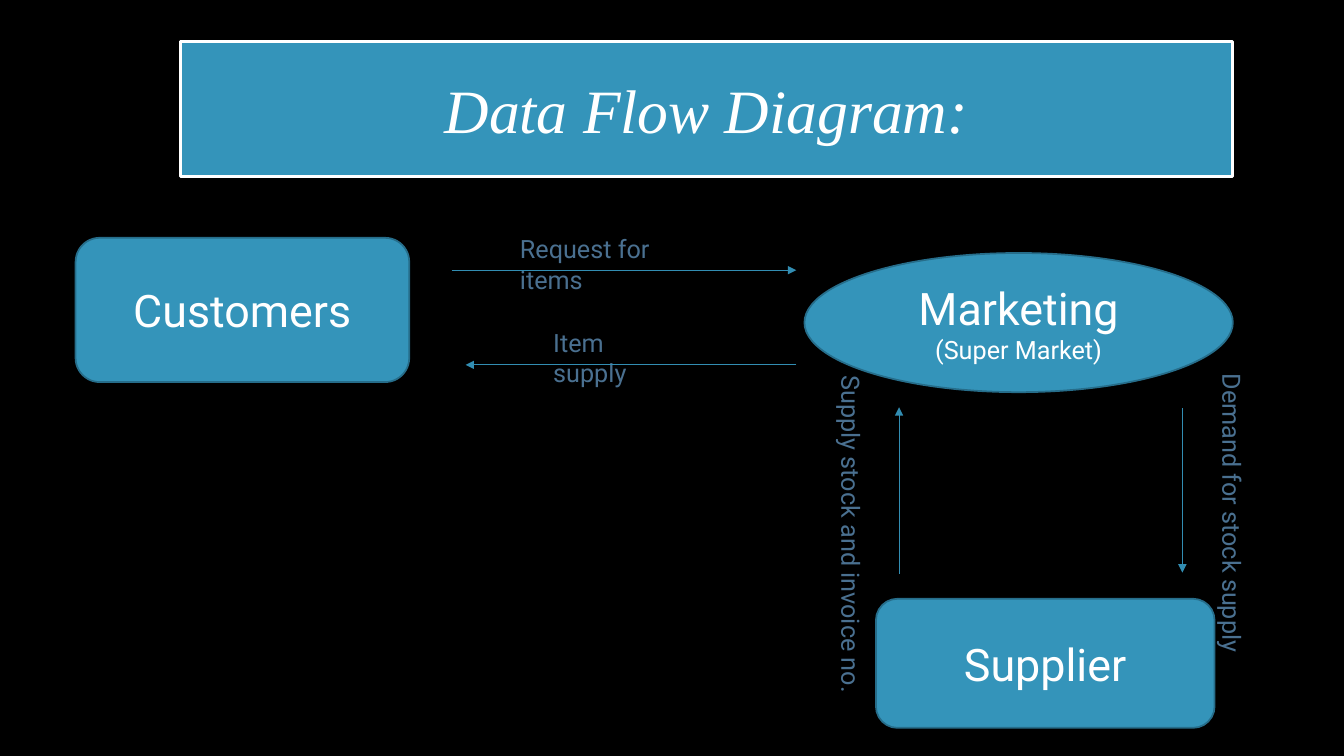
from lxml import etree
from pptx import Presentation
from pptx import util as u
from pptx.dml.color import RGBColor
from pptx.enum import shapes, text
from pptx.oxml.ns import qn

COLORS = {"back": "000000", "fill": "3494BA", "edge": "266D8A",
          "arrow": "328DB2", "label": "4A7090", "white": "FFFFFF"}
TITLE = ("Data Flow Diagram:", (128.9, 29.5, 751.7, 96.5))
NODES = [
    ("OVAL", (574.6, 180.7, 306, 99.4), [("Marketing", 32), ("(Super Market)", 18)]),
    ("ROUNDED_RECTANGLE", (54, 169.9, 238.3, 103), [("Customers", 32)]),
    ("ROUNDED_RECTANGLE", (625.7, 427.7, 241.9, 92.2), [("Supplier", 32)]),
]
LABELS = [
    ("Request for items", (364.3, 163.4, 150, 29), 0),
    ("Item supply", (388.1, 230.4, 101, 29), 0),
    ("Demand for stock supply", (773.3, 352.1, 213.8, 29), 90),
    ("Supply stock and invoice no.", (486, 368.6, 244.1, 29), 90),
]
ARROWS = [
    ((322.6, 193), (568.8, 193)),
    ((568.8, 260.6), (332.6, 260.6)),
    ((844.6, 291.6), (844.6, 409)),
    ((642.2, 409.7), (642.2, 290.9)),
]


def rgb(name):
    return RGBColor.from_string(COLORS[name])


def pts(values):
    return [u.Pt(v) for v in values]


def write(p, words, size, color="white", font="Roboto", align="CENTER", italic=False):
    p.alignment = getattr(text.PP_ALIGN, align)
    r = p.add_run()
    r.text = words
    r.font.size, r.font.name, r.font.italic = u.Pt(size), font, italic
    r.font.color.rgb = rgb(color)


def paint(sp, edge, width):
    sp.fill.solid()
    sp.fill.fore_color.rgb = rgb("fill")
    sp.line.color.rgb = rgb(edge)
    sp.line.width = u.Pt(width)
    sp.text_frame.vertical_anchor = text.MSO_ANCHOR.MIDDLE
    sp.text_frame.word_wrap = True


def add_title(s):
    words, box = TITLE
    sp = s.shapes.title
    sp.left, sp.top, sp.width, sp.height = pts(box)
    geom = etree.SubElement(sp._element.spPr, qn("a:prstGeom"), prst="bevel")
    etree.SubElement(geom, qn("a:avLst"))
    paint(sp, "white", 2)
    sp.text_frame.auto_size = text.MSO_AUTO_SIZE.NONE
    write(sp.text_frame.paragraphs[0], words, 44, font="Times New Roman", italic=True)


def add_node(s, kind, box, lines):
    sp = s.shapes.add_shape(getattr(shapes.MSO_SHAPE, kind), *pts(box))
    sp.shadow.inherit = False
    paint(sp, "edge", 1.25)
    tf = sp.text_frame
    for i, (words, size) in enumerate(lines):
        write(tf.add_paragraph() if i else tf.paragraphs[0], words, size)


def add_label(s, words, box, turn):
    sp = s.shapes.add_textbox(*pts(box))
    sp.rotation = turn
    sp.text_frame.word_wrap = not turn
    sp.text_frame.auto_size = text.MSO_AUTO_SIZE.NONE
    write(sp.text_frame.paragraphs[0], words, 18, color="label", align="LEFT")


def add_arrow(s, start, end):
    cx = s.shapes.add_connector(shapes.MSO_CONNECTOR.STRAIGHT, *pts(start + end))
    cx.line.color.rgb = rgb("arrow")
    cx.line.width = u.Pt(0.75)
    etree.SubElement(cx.line._get_or_add_ln(), qn("a:tailEnd"), type="triangle")
    etree.SubElement(cx._element.spPr, qn("a:effectLst"))


def main():
    prs = Presentation()
    prs.slide_width, prs.slide_height = pts((960, 540))
    s = prs.slides.add_slide(prs.slide_layouts[5])
    s.background.fill.solid()
    s.background.fill.fore_color.rgb = rgb("back")
    add_title(s)
    for node in NODES:
        add_node(s, *node)
    for label in LABELS:
        add_label(s, *label)
    for arrow in ARROWS:
        add_arrow(s, *arrow)
    prs.save("out.pptx")


if __name__ == "__main__":
    main()
